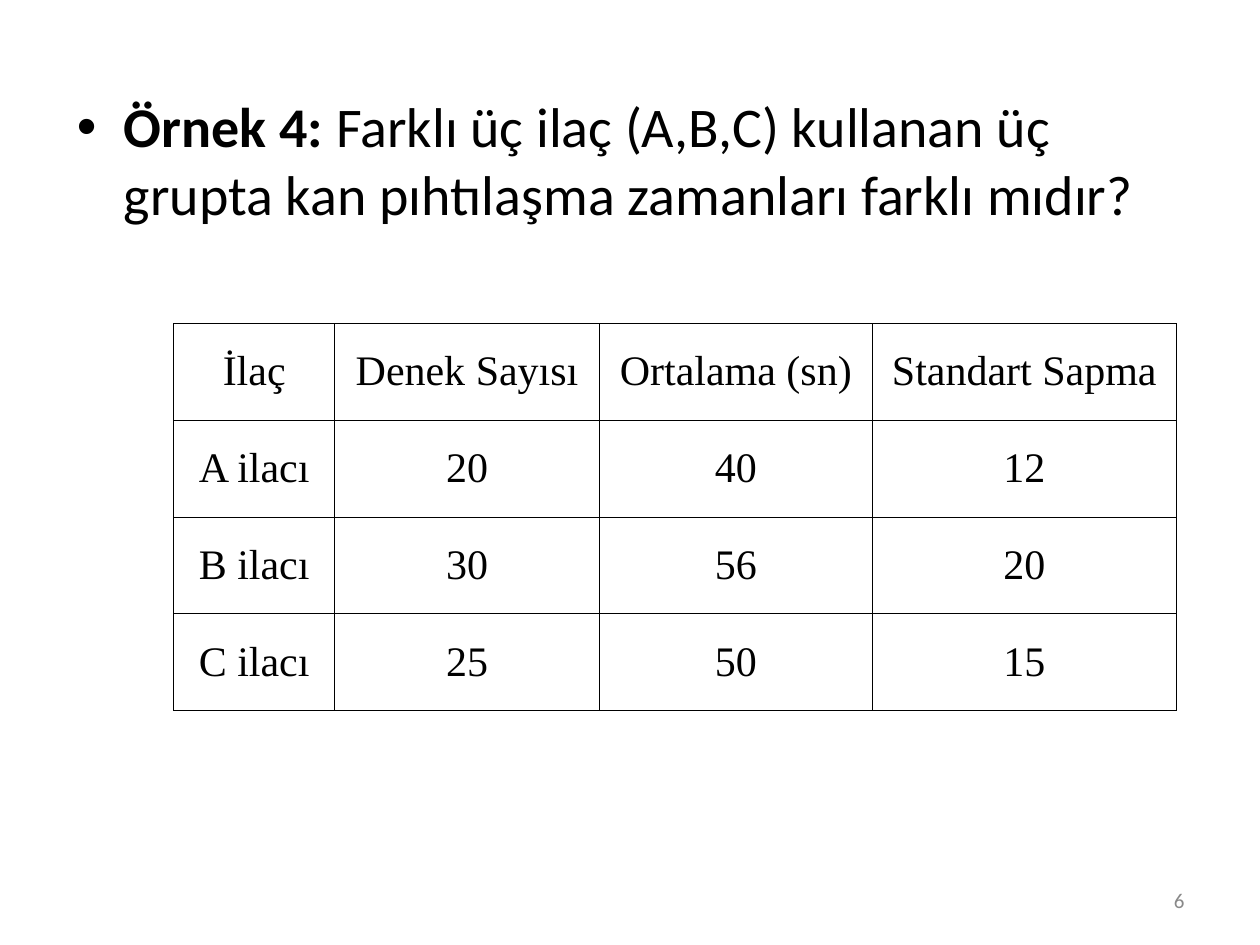
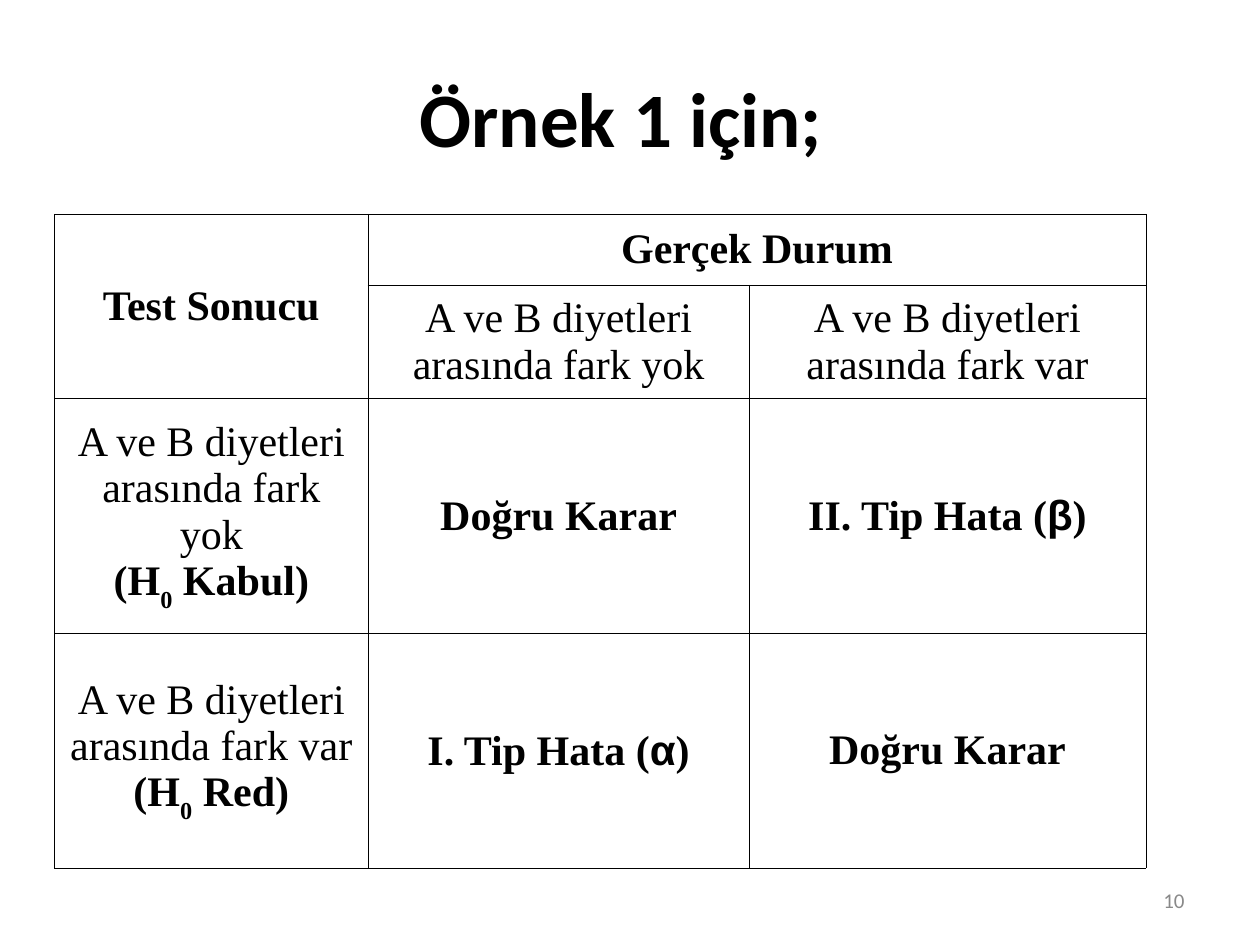
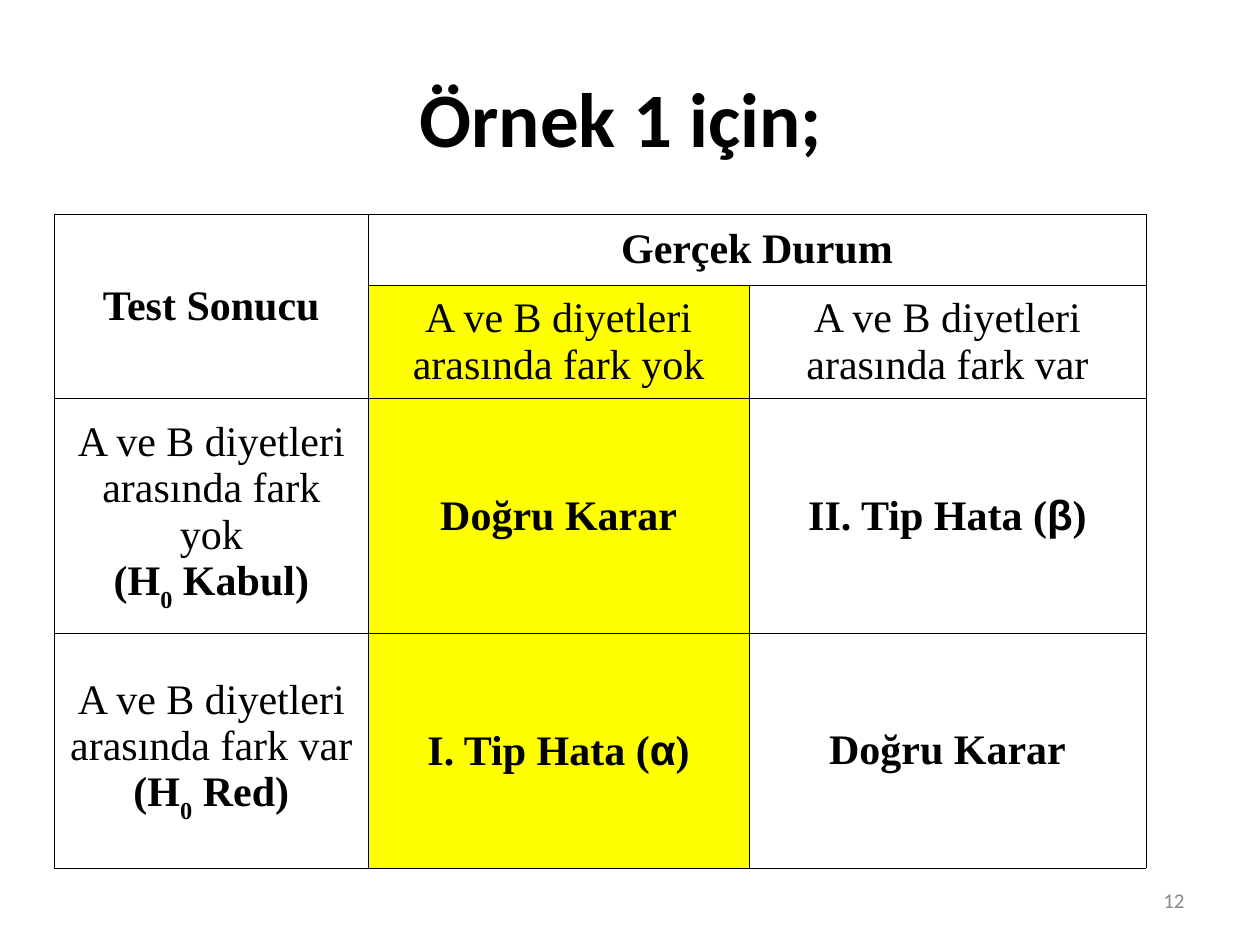
from lxml.etree import SubElement
from pptx import Presentation
from pptx.dml.color import RGBColor
from pptx.enum.text import MSO_ANCHOR, PP_ALIGN
from pptx.oxml.ns import qn
from pptx.util import Cm, Pt

COLORS = {"text": "000000", "border": "000000", "number": "898989", "highlight": "FFFF00"}
BODY_FONT = "Calibri"
TABLE_FONT = "Times New Roman"
SYMBOL_FONT = "Arial"
BLANK_LAYOUT = 6


def add_run(paragraph, text, *, size=24, font=BODY_FONT, color="text", bold=False, subscript=False):
    run = paragraph.add_run()
    run.text = text
    run.font.size = Pt(size)
    run.font.name = font
    run.font.bold = bold
    run.font.color.rgb = RGBColor.from_string(COLORS[color])
    if subscript:
        run._r.get_or_add_rPr().set("baseline", "-30000")


def add_bullet(paragraph, indent):
    properties = paragraph._p.get_or_add_pPr()
    properties.set("marL", str(indent))
    properties.set("indent", str(-indent))
    SubElement(properties, qn("a:buFont"), typeface="Arial")
    SubElement(properties, qn("a:buChar"), char="•")


def add_borders(cell):
    properties = cell._tc.get_or_add_tcPr()
    for side in ("lnL", "lnR", "lnT", "lnB"):
        line = SubElement(properties, qn(f"a:{side}"), w=str(Pt(0.45)))
        fill = SubElement(line, qn("a:solidFill"))
        SubElement(fill, qn("a:srgbClr"), val=COLORS["border"])


class Deck:
    """Holds the presentation, the current slide and the shared style."""

    def __init__(self):
        self.presentation = Presentation()
        self.presentation.slide_width = Cm(25.4)
        self.presentation.slide_height = Cm(19.05)
        self.slide = None

    def add_slide(self, number):
        layout = self.presentation.slide_layouts[BLANK_LAYOUT]
        self.slide = self.presentation.slides.add_slide(layout)
        paragraph = self.add_text_box(18.2, 17.65, 5.93, 1.01, PP_ALIGN.RIGHT)
        add_run(paragraph, str(number), size=12, color="number")

    def add_text_box(self, left, top, width, height, alignment, anchor=MSO_ANCHOR.MIDDLE):
        """Add an empty text box, in centimetres, and return its paragraph."""
        shape = self.slide.shapes.add_textbox(Cm(left), Cm(top), Cm(width), Cm(height))
        frame = shape.text_frame
        frame.word_wrap = True
        frame.vertical_anchor = anchor
        paragraph = frame.paragraphs[0]
        paragraph.alignment = alignment
        return paragraph

    def add_title(self, text):
        paragraph = self.add_text_box(1.27, 0.76, 22.86, 3.18, PP_ALIGN.CENTER)
        add_run(paragraph, text, size=44, bold=True)

    def add_question(self, label, text):
        paragraph = self.add_text_box(1.3, 1.73, 22.86, 5.61, PP_ALIGN.LEFT, MSO_ANCHOR.TOP)
        paragraph.space_before = Pt(8)
        add_bullet(paragraph, Cm(0.95))
        add_run(paragraph, label, size=32, bold=True)
        add_run(paragraph, text, size=32)

    def add_table(self, left, top, widths, heights, rows, merges=(), highlighted=()):
        """Each cell is a list of paragraphs; each paragraph a list of (text, format)."""
        table = self.slide.shapes.add_table(
            len(heights), len(widths), Cm(left), Cm(top), Cm(sum(widths)), Cm(sum(heights))
        ).table
        table.first_row = table.horz_banding = False
        for column, width in zip(table.columns, widths):
            column.width = Cm(width)
        for row, height in zip(table.rows, heights):
            row.height = Cm(height)
        for row_index, row in enumerate(rows):
            for column_index, paragraphs in enumerate(row):
                position = (row_index, column_index)
                self.fill_cell(table.cell(*position), paragraphs, position in highlighted)
        for first, last in merges:
            table.cell(*first).merge(table.cell(*last))

    def fill_cell(self, cell, paragraphs, highlighted):
        add_borders(cell)
        if highlighted:
            cell.fill.solid()
            cell.fill.fore_color.rgb = RGBColor.from_string(COLORS["highlight"])
        else:
            cell.fill.background()
        cell.vertical_anchor = MSO_ANCHOR.MIDDLE
        frame = cell.text_frame
        for index, runs in enumerate(paragraphs):
            paragraph = frame.add_paragraph() if index else frame.paragraphs[0]
            paragraph.alignment = PP_ALIGN.CENTER
            for text, text_format in runs:
                add_run(paragraph, text, **{"font": TABLE_FONT, **text_format})


def line(text, **text_format):
    """A paragraph of one run."""
    return [(text, text_format)]


def hypothesis(decision):
    """A paragraph such as (H0 Red), with a lowered zero."""
    return [
        ("(H", {"bold": True}),
        ("0", {"bold": True, "subscript": True}),
        (f" {decision})", {"bold": True}),
    ]


def error_type(numeral, symbol):
    return [
        (f"{numeral}. Tip Hata (", {"bold": True}),
        (symbol, {"bold": True, "font": SYMBOL_FONT}),
        (")", {"bold": True}),
    ]


def add_drug_slide(deck, number):
    deck.add_slide(number)
    deck.add_question(
        "Örnek 4:",
        " Farklı üç ilaç (A,B,C) kullanan üç grupta kan pıhtılaşma zamanları farklı mıdır?",
    )
    rows = [
        ["İlaç", "Denek Sayısı", "Ortalama (sn)", "Standart Sapma"],
        ["A ilacı", "20", "40", "12"],
        ["B ilacı", "30", "56", "20"],
        ["C ilacı", "25", "50", "15"],
    ]
    cells = [[[line(text)] for text in row] for row in rows]
    deck.add_table(3.5, 6.52, [3.25, 5.33, 5.51, 6.12], [1.95] * len(rows), cells)


def add_decision_slide(deck, number, highlighted=()):
    deck.add_slide(number)
    deck.add_title("Örnek 1 için; ")
    no_difference = line("A ve B diyetleri arasında fark yok")
    difference = line("A ve B diyetleri arasında fark var")
    correct = line("Doğru Karar", bold=True)
    rows = [
        [[line("Test Sonucu", bold=True)], [line("Gerçek Durum", bold=True)], []],
        [[], [no_difference], [difference]],
        [[no_difference, hypothesis("Kabul")], [correct], [error_type("II", "β")]],
        [[difference, hypothesis("Red")], [error_type("I", "α")], [correct]],
    ]
    deck.add_table(
        1.1, 4.32, [6.32, 7.68, 8], [1.43, 2.28, 4.73, 4.73], rows,
        merges=[((0, 0), (1, 0)), ((0, 1), (0, 2))],
        highlighted=highlighted,
    )


def main():
    deck = Deck()
    add_drug_slide(deck, 6)
    add_decision_slide(deck, 10)
    add_decision_slide(deck, 12, highlighted=[(row, 1) for row in (1, 2, 3)])
    deck.presentation.save("out.pptx")


if __name__ == "__main__":
    main()
